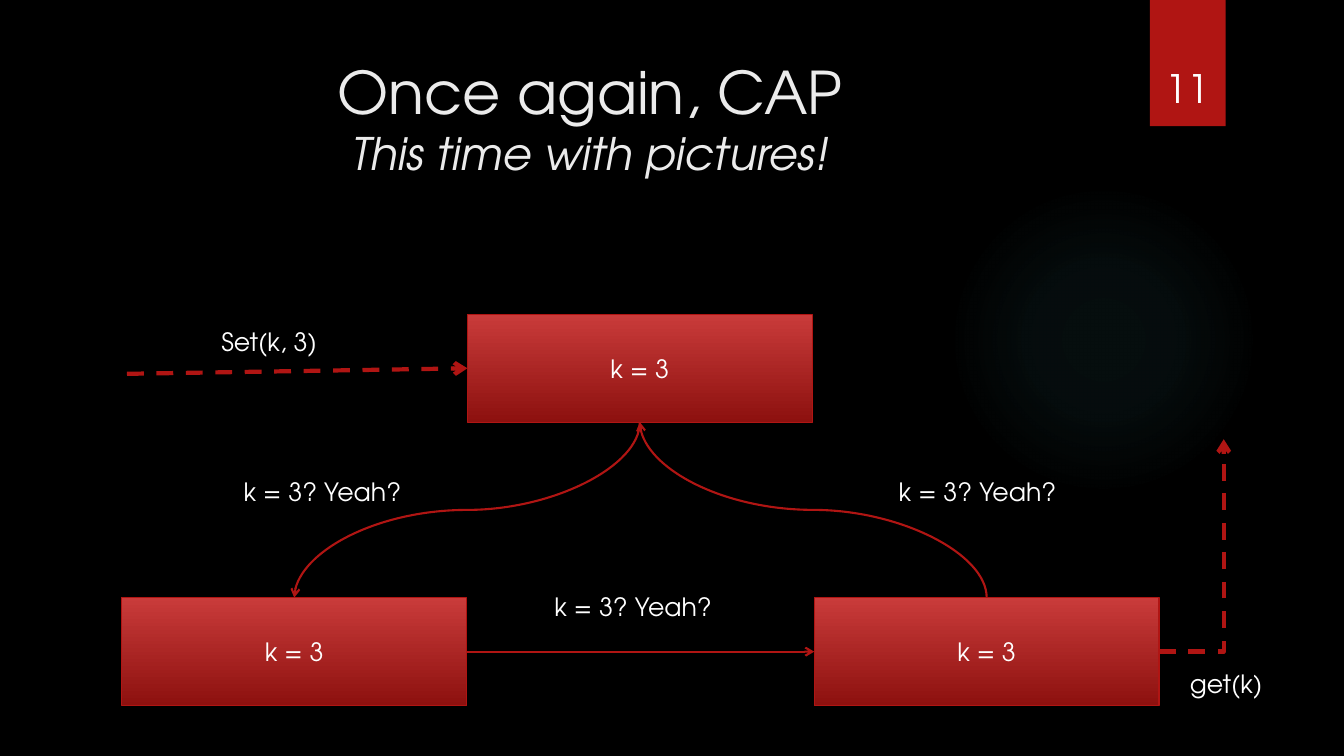
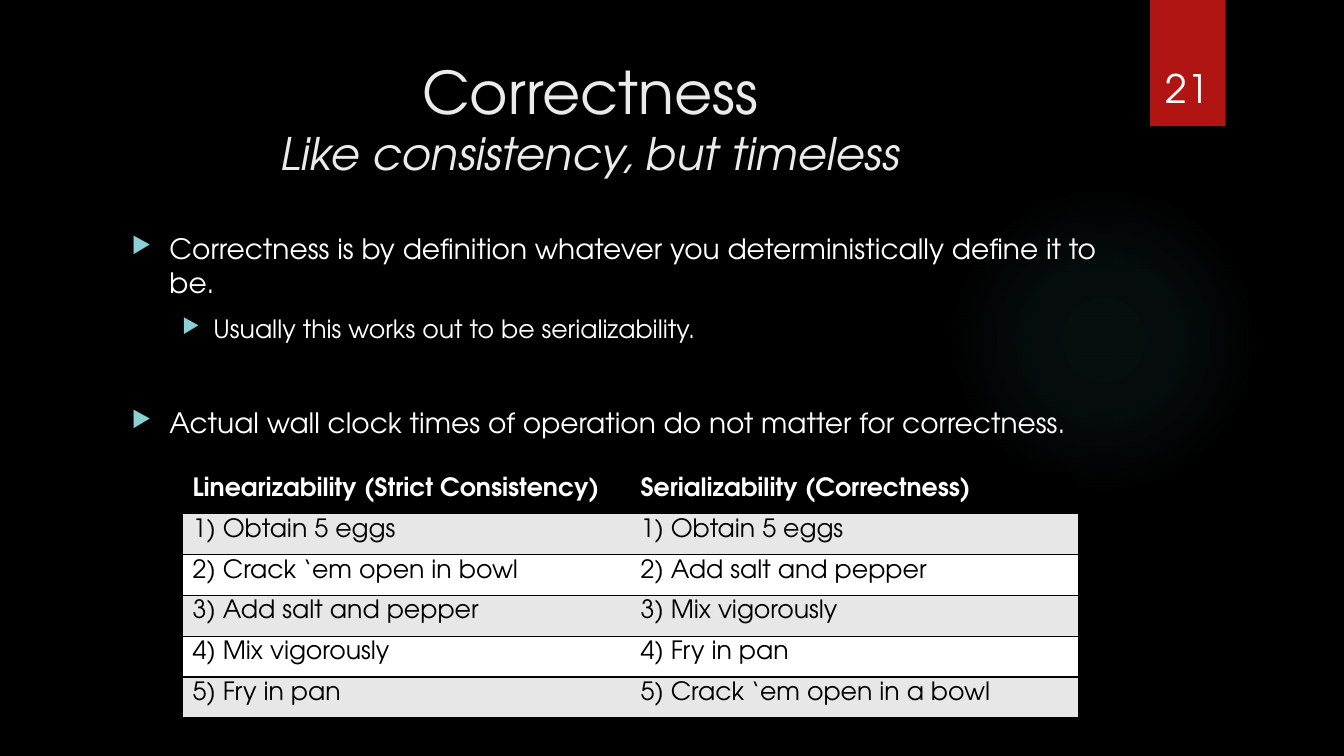
import pptx
import pptx.dml.color
import pptx.enum.dml
import pptx.enum.shapes
import pptx.enum.text
import pptx.oxml
import pptx.oxml.ns
import pptx.util
from lxml import etree

Cm, Pt = pptx.util.Cm, pptx.util.Pt
RGBColor = pptx.dml.color.RGBColor
PP_ALIGN = pptx.enum.text.PP_ALIGN
ANCHOR = pptx.enum.text.MSO_ANCHOR
SHAPE = pptx.enum.shapes.MSO_SHAPE
CONNECTOR = pptx.enum.shapes.MSO_CONNECTOR
qn = pptx.oxml.ns.qn

FONT = "TeX Gyre Adventor"
BLACK = RGBColor(0x00, 0x00, 0x00)
WHITE = RGBColor(0xFF, 0xFF, 0xFF)
TITLE_GREY = RGBColor(0xEB, 0xEB, 0xEB)
BAND_GREY = RGBColor(0xE7, 0xE7, 0xE7)
RED = RGBColor(0xB0, 0x15, 0x13)
LIGHT_RED = RGBColor(0xC9, 0x3B, 0x3A)
DARK_RED = RGBColor(0x8D, 0x11, 0x0F)
TEAL = RGBColor(0x50, 0xB9, 0xC1)
BULLET_TEAL = RGBColor(0x8A, 0xD0, 0xD6)
TOP, LEFT, BOTTOM, RIGHT = range(4)


def write(paragraph, text, size=18, color=WHITE, align=PP_ALIGN.LEFT):
    paragraph.text = text
    paragraph.alignment = align
    paragraph.font.name = FONT
    paragraph.font.size = Pt(size)
    paragraph.font.color.rgb = color


def style_arrow(arrow, width, dashed=False):
    arrow.line.color.rgb = RED
    arrow.line.width = Pt(width)
    if dashed:
        arrow.line.dash_style = pptx.enum.dml.MSO_LINE.DASH
    properties = arrow._element.spPr
    etree.SubElement(properties.find(qn("a:ln")), qn("a:tailEnd"), type="arrow")
    etree.SubElement(properties, qn("a:effectLst"))


presentation = pptx.Presentation()
presentation.slide_width, presentation.slide_height = Cm(33.87), Cm(19.05)

# Shared frame: background, glow, ribbon with number, title
headings = [
    ("11", "Once again, CAP", "This time with pictures!"),
    ("21", "Correctness", "Like consistency, but timeless"),
]
glow_stops = "".join(
    f'<a:gs pos="{position * 1000}"><a:srgbClr val="{TEAL}">'
    f'<a:alpha val="{alpha * 1000}"/></a:srgbClr></a:gs>'
    for position, alpha in [(0, 7), (36, 6), (69, 0), (100, 0)]
)
glow_fill = (
    f'<a:gradFill {pptx.oxml.ns.nsdecls("a")}><a:gsLst>{glow_stops}</a:gsLst>'
    '<a:path path="circle"><a:fillToRect l="50000" t="50000" r="50000" b="50000"/>'
    '</a:path></a:gradFill>'
)
slides = []
for number, title, subtitle in headings:
    slide = presentation.slides.add_slide(presentation.slide_layouts[6])
    slides.append(slide)
    slide.background.fill.solid()
    slide.background.fill.fore_color.rgb = BLACK

    glow = slide.shapes.add_shape(SHAPE.OVAL, Cm(23.9), Cm(4.65), Cm(7.82), Cm(7.82))
    glow.shadow.inherit = False
    glow.line.fill.background()
    glow.fill.background()
    glow_properties = glow._element.spPr
    glow_properties.replace(glow_properties.find(qn("a:noFill")),
                            pptx.oxml.parse_xml(glow_fill))

    ribbon = slide.shapes.add_shape(SHAPE.RECTANGLE, Cm(28.98), 0, Cm(1.91), Cm(3.18))
    ribbon.shadow.inherit = False
    ribbon.fill.solid()
    ribbon.fill.fore_color.rgb = RED
    ribbon.line.fill.background()

    heading = slide.shapes.add_textbox(Cm(1.8), Cm(1.27), Cm(26.14), Cm(3.89)).text_frame
    heading.word_wrap = True
    write(heading.paragraphs[0], title, 42, TITLE_GREY, PP_ALIGN.CENTER)
    tagline = heading.add_paragraph()
    write(tagline, subtitle, 32, TITLE_GREY, PP_ALIGN.CENTER)
    tagline.font.italic = True

    page = slide.shapes.add_textbox(Cm(28.75), Cm(0.81), Cm(2.34), Cm(2.13)).text_frame
    page.word_wrap = True
    page.vertical_anchor = ANCHOR.BOTTOM
    write(page.paragraphs[0], number, 28, align=PP_ALIGN.CENTER)

cap_slide, correctness_slide = slides

# CAP: three replicas holding the same value
replicas = []
for left, top in [(11.78, 7.92), (3.07, 15.06), (20.52, 15.06)]:
    replica = cap_slide.shapes.add_shape(
        SHAPE.RECTANGLE, Cm(left), Cm(top), Cm(8.69), Cm(2.72))
    replica.shadow.inherit = False
    replica.fill.gradient()
    replica.fill.gradient_angle = 270
    for stop, color in zip(replica.fill.gradient_stops, (LIGHT_RED, DARK_RED)):
        stop.color.rgb = color
    replica.line.color.rgb = RED
    replica.line.width = Pt(0.75)
    replica.text_frame.vertical_anchor = ANCHOR.MIDDLE
    write(replica.text_frame.paragraphs[0], "k = 3", align=PP_ALIGN.CENTER)
    replicas.append(replica)
primary, left_replica, right_replica = replicas

# CAP: client request and reply
set_request = cap_slide.shapes.add_connector(
    CONNECTOR.STRAIGHT, Cm(3.2), Cm(9.42), Cm(11.78), Cm(9.28))
set_request.end_connect(primary, LEFT)
style_arrow(set_request, 3, dashed=True)

get_reply = cap_slide.shapes.add_connector(
    CONNECTOR.ELBOW, Cm(29.21), Cm(16.42), Cm(30.84), Cm(11.07))
get_reply.begin_connect(right_replica, RIGHT)
get_reply._element.spPr.find(qn("a:prstGeom")).set("prst", "bentConnector2")
style_arrow(get_reply, 3, dashed=True)

# CAP: agreement between replicas; vertical curves are turned about their centre
agreements = [
    (primary, BOTTOM, left_replica, TOP, 90, "0"),
    (left_replica, RIGHT, right_replica, LEFT, 0, "0"),
    (right_replica, TOP, primary, BOTTOM, 270, "1"),
]
for sender, sender_side, receiver, receiver_side, turn, flip in agreements:
    agreement = cap_slide.shapes.add_connector(CONNECTOR.CURVE, 0, 0, 0, 0)
    agreement.begin_connect(sender, sender_side)
    agreement.end_connect(receiver, receiver_side)
    style_arrow(agreement, 1.5)
    if turn:
        width, height = agreement.width, agreement.height
        agreement.left += (width - height) // 2
        agreement.top += (height - width) // 2
        agreement.width, agreement.height = height, width
        placement = agreement._element.spPr.find(qn("a:xfrm"))
        placement.set("rot", str(turn * 60000))
        placement.set("flipH", "0")
        placement.set("flipV", flip)

# CAP: message labels
messages = [
    ("Set(k, 3)", 5.33, 8.1, 3.28),
    ("k = 3? Yeah?", 5.89, 11.89, 4.72),
    ("k = 3? Yeah?", 22.4, 11.89, 5.44),
    ("k = 3? Yeah?", 13.72, 14.78, 4.8),
    ("get(k)", 29.74, 16.71, 3.28),
]
for message, left, top, width in messages:
    label = cap_slide.shapes.add_textbox(Cm(left), Cm(top), Cm(width), Cm(1.02)).text_frame
    label.word_wrap = True
    write(label.paragraphs[0], message)

# Correctness: bullets as text, size, left margin, hanging indent, space before
points = [
    ("Correctness is by definition whatever you deterministically define it to be.",
     20, 0.95, 0.95, 0),
    ("Usually this works out to be serializability.", 18, 2.06, 0.79, 10),
    ("Actual wall clock times of operation do not matter for correctness.",
     20, 0.95, 0.95, 44),
]
body = correctness_slide.shapes.add_textbox(
    Cm(3.07), Cm(5.72), Cm(24.84), Cm(11.66)).text_frame
body.word_wrap = True
for index, (point, size, margin, hanging, space) in enumerate(points):
    paragraph = body.add_paragraph() if index else body.paragraphs[0]
    bullet = paragraph._p.get_or_add_pPr()
    bullet.set("marL", str(int(Cm(margin))))
    bullet.set("indent", str(-int(Cm(hanging))))
    bullet_color = etree.SubElement(bullet, qn("a:buClr"))
    etree.SubElement(bullet_color, qn("a:srgbClr"), val=str(BULLET_TEAL))
    etree.SubElement(bullet, qn("a:buSzPct"), val="80000")
    etree.SubElement(bullet, qn("a:buChar"), char="▶")
    paragraph.space_before = Pt(space)
    write(paragraph, point, size)

# Correctness: recipe comparison
recipes = [
    ("Linearizability (Strict Consistency)", "Serializability (Correctness)"),
    ("1) Obtain 5 eggs", "1) Obtain 5 eggs"),
    ("2) Crack ‘em open in bowl", "2) Add salt and pepper"),
    ("3) Add salt and pepper", "3) Mix vigorously"),
    ("4) Mix vigorously", "4) Fry in pan"),
    ("5) Fry in pan", "5) Crack ‘em open in a bowl"),
]
comparison = correctness_slide.shapes.add_table(
    len(recipes), 2, Cm(4.6), Cm(11.91), Cm(22.58), Cm(6.18)).table
for row, steps in enumerate(recipes):
    for column, step in enumerate(steps):
        cell = comparison.cell(row, column)
        is_header = row == 0
        cell.fill.solid()
        cell.fill.fore_color.rgb = BLACK if is_header else (WHITE, BAND_GREY)[row % 2]
        write(cell.text_frame.paragraphs[0], step, color=WHITE if is_header else BLACK)
        cell.text_frame.paragraphs[0].font.bold = is_header
        cell_properties = cell._tc.get_or_add_tcPr()
        for position, side in enumerate(("lnL", "lnR", "lnT", "lnB")):
            border = etree.Element(qn(f"a:{side}"), w=str(int(Pt(1))))
            if side in ("lnT", "lnB"):
                border_fill = etree.SubElement(border, qn("a:solidFill"))
                etree.SubElement(border_fill, qn("a:srgbClr"), val=str(BLACK))
            else:
                etree.SubElement(border, qn("a:noFill"))
            cell_properties.insert(position, border)

presentation.save("out.pptx")
